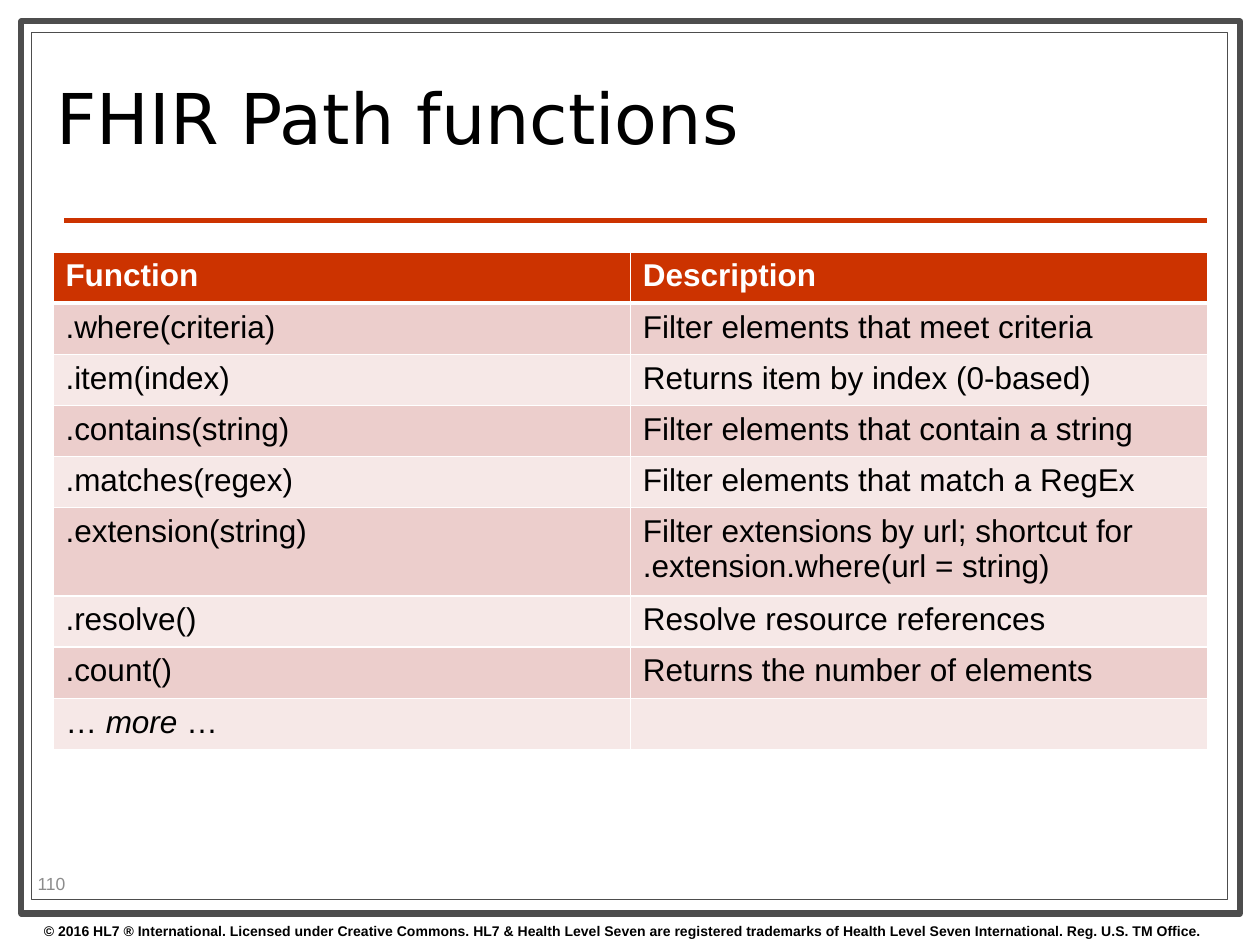
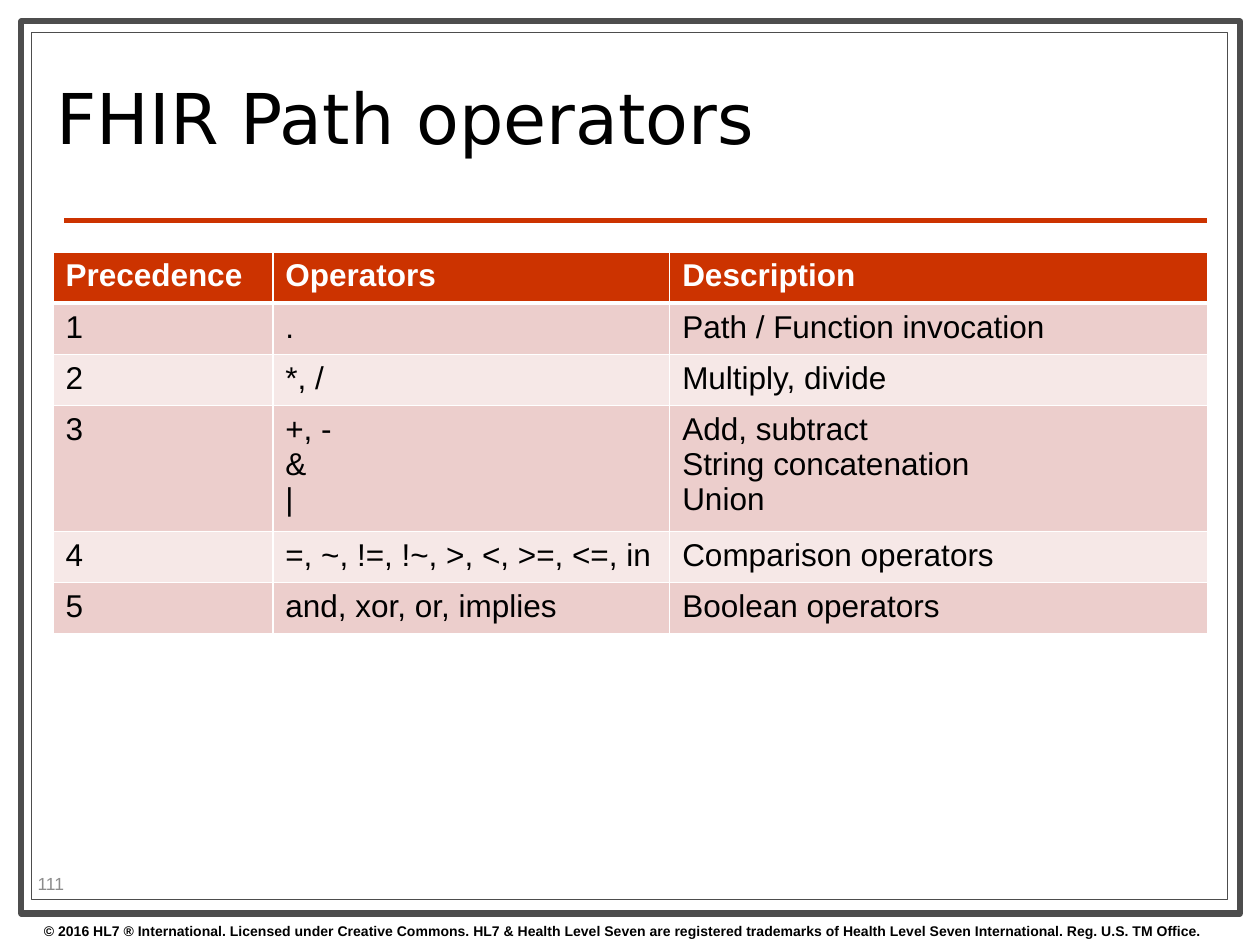
from dataclasses import dataclass

from lxml import etree
from pptx import Presentation
from pptx import util as u
from pptx.dml import color
from pptx.enum import shapes, text
from pptx.oxml import ns

SLIDE_WIDTH, SLIDE_HEIGHT = u.Inches(10), u.Inches(7.5)
COLUMN, ROW = SLIDE_WIDTH / 100, SLIDE_HEIGHT / 75

WHITE, BLACK, RED = "FFFFFF", "000000", "CC3300"
FRAME_GREY, NUMBER_GREY = "4D4D4D", "8C8C8C"
BANDS = ("ECCECC", "F6E8E7")
ROW_HEIGHT = 4.06
COPYRIGHT = (
    "© 2016 HL7 ® International. Licensed under Creative Commons. "
    "HL7 & Health Level Seven are registered trademarks of "
    "Health Level Seven International. Reg. U.S. TM Office."
)


@dataclass(frozen=True)
class Area:
    left: float
    top: float
    width: float
    height: float

    def emu(self) -> tuple[int, int, int, int]:
        return (
            round(self.left * COLUMN),
            round(self.top * ROW),
            round(self.width * COLUMN),
            round(self.height * ROW),
        )


@dataclass(frozen=True)
class Style:
    size: float
    ink: str = BLACK
    face: str = "Arial"
    bold: bool = False


@dataclass(frozen=True)
class Span:
    words: str
    italic: bool = False


@dataclass(frozen=True)
class Frame:
    area: Area
    weight: float


@dataclass(frozen=True)
class Reference:
    number: int
    title: str
    widths: tuple[float, ...]
    headings: tuple[str, ...]
    entries: tuple[tuple, ...]


TITLE_STYLE = Style(40, face="DejaVu Sans")
COPYRIGHT_STYLE = Style(8, bold=True)
NUMBER_STYLE = Style(10, NUMBER_GREY)
HEADING_STYLE = Style(18, WHITE, bold=True)
ENTRY_STYLE = Style(18)

TITLE_AREA = Area(3.5, 3.6, 71.7, 12.6)
COPYRIGHT_AREA = Area(2.5, 72.7, 100, 2.3)
NUMBER_AREA = Area(2, 68.9, 7.9, 2.4)
FRAMES = (
    Frame(Area(1.7, 1.7, 96.7, 70.8), 3.5),
    Frame(Area(2.5, 2.6, 94.9, 68.8), 0.75),
)
RULE = Area(5.1, 17.5, 90.7, 0)
TABLE_LEFT, TABLE_TOP = 4.2, 20

REFERENCES = (
    Reference(
        110,
        "FHIR Path functions",
        (45.83, 45.83),
        ("Function", "Description"),
        (
            (".where(criteria)", "Filter elements that meet criteria"),
            (".item(index)", "Returns item by index (0-based)"),
            (".contains(string)", "Filter elements that contain a string"),
            (".matches(regex)", "Filter elements that match a RegEx"),
            (
                ".extension(string)",
                "Filter extensions by url; shortcut for\n.extension.where(url = string)",
            ),
            (".resolve()", "Resolve resource references"),
            (".count()", "Returns the number of elements"),
            ((Span("… "), Span("more", italic=True), Span(" …")), ""),
        ),
    ),
    Reference(
        111,
        "FHIR Path operators",
        (17.45, 31.5, 42.7),
        ("Precedence", "Operators", "Description"),
        (
            ("1", ".", "Path / Function invocation"),
            ("2", "*, /", "Multiply, divide"),
            ("3", "+, -\n&\n|", "Add, subtract\nString concatenation\nUnion"),
            ("4", "=, ~, !=, !~, >, <, >=, <=, in", "Comparison operators"),
            ("5", "and, xor, or, implies", "Boolean operators"),
        ),
    ),
)


def rgb(code: str) -> color.RGBColor:
    return color.RGBColor.from_string(code)


def write(frame, content: str | tuple[Span, ...], style: Style) -> None:
    if isinstance(content, str):
        lines = [(Span(line),) for line in content.split("\n")]
    else:
        lines = [content]
    for index, spans in enumerate(lines):
        paragraph = frame.add_paragraph() if index else frame.paragraphs[0]
        paragraph.alignment = text.PP_ALIGN.LEFT
        for span in spans:
            if not span.words:
                continue
            run = paragraph.add_run()
            run.text = span.words
            run.font.size = u.Pt(style.size)
            run.font.name = style.face
            run.font.bold = style.bold
            run.font.italic = span.italic
            run.font.color.rgb = rgb(style.ink)


def add_label(slide, area: Area, words: str, style: Style, anchor):
    label = slide.shapes.add_textbox(*area.emu())
    label.text_frame.word_wrap = True
    label.text_frame.vertical_anchor = anchor
    write(label.text_frame, words, style)
    return label


def add_frame(slide, frame: Frame):
    border = slide.shapes.add_shape(shapes.MSO_SHAPE.RECTANGLE, *frame.area.emu())
    border.shadow.inherit = False
    border.fill.solid()
    border.fill.fore_color.rgb = rgb(WHITE)
    border.line.color.rgb = rgb(FRAME_GREY)
    border.line.width = u.Pt(frame.weight)
    return border


def add_rule(slide, area: Area):
    left, top, width, height = area.emu()
    rule = slide.shapes.add_connector(
        shapes.MSO_CONNECTOR.STRAIGHT, left, top, left + width, top + height
    )
    rule.line.color.rgb = rgb(RED)
    rule.line.width = u.Pt(3)
    etree.SubElement(rule._element.spPr, ns.qn("a:effectLst"))
    return rule


def furnish_layout(layout, slide) -> None:
    furniture = [add_frame(slide, frame) for frame in FRAMES]
    furniture.append(add_rule(slide, RULE))
    furniture.append(
        add_label(slide, COPYRIGHT_AREA, COPYRIGHT, COPYRIGHT_STYLE, text.MSO_ANCHOR.TOP)
    )
    for depth, part in enumerate(furniture):
        layout.shapes._spTree.insert(2 + depth, part._element)


def set_borders(cell, top: float, bottom: float) -> None:
    properties = cell._tc.get_or_add_tcPr()
    weights = {"lnL": 1, "lnR": 1, "lnT": top, "lnB": bottom}
    for index, (side, weight) in enumerate(weights.items()):
        line = etree.Element(ns.qn(f"a:{side}"), w=str(u.Pt(weight)))
        fill = etree.SubElement(line, ns.qn("a:solidFill"))
        etree.SubElement(fill, ns.qn("a:srgbClr"), val=WHITE)
        properties.insert(index, line)


def add_reference_table(slide, reference: Reference) -> None:
    rows = (reference.headings, *reference.entries)
    area = Area(TABLE_LEFT, TABLE_TOP, sum(reference.widths), ROW_HEIGHT * len(rows))
    grid = slide.shapes.add_table(len(rows), len(reference.widths), *area.emu()).table
    for column, width in zip(grid.columns, reference.widths):
        column.width = round(width * COLUMN)
    for index, entry in enumerate(rows):
        grid.rows[index].height = round(ROW_HEIGHT * ROW)
        heading = index == 0
        for position, content in enumerate(entry):
            cell = grid.cell(index, position)
            cell.fill.solid()
            cell.fill.fore_color.rgb = rgb(RED if heading else BANDS[(index - 1) % 2])
            set_borders(cell, top=3 if index == 1 else 1, bottom=3 if heading else 1)
            write(cell.text_frame, content, HEADING_STYLE if heading else ENTRY_STYLE)


def add_reference(slide, reference: Reference) -> None:
    title = slide.shapes.title
    title.left, title.top, title.width, title.height = TITLE_AREA.emu()
    title.text_frame.auto_size = text.MSO_AUTO_SIZE.NONE
    title.text_frame.vertical_anchor = text.MSO_ANCHOR.MIDDLE
    write(title.text_frame, reference.title, TITLE_STYLE)
    title.text_frame.paragraphs[0].line_spacing = 0.8
    add_label(
        slide, NUMBER_AREA, str(reference.number), NUMBER_STYLE, text.MSO_ANCHOR.MIDDLE
    )
    add_reference_table(slide, reference)


def main() -> None:
    deck = Presentation()
    deck.slide_width, deck.slide_height = SLIDE_WIDTH, SLIDE_HEIGHT
    layout = deck.slide_layouts[5]
    slides = [deck.slides.add_slide(layout) for _ in REFERENCES]
    furnish_layout(layout, slides[0])
    for slide, reference in zip(slides, REFERENCES):
        add_reference(slide, reference)
    deck.save("out.pptx")


if __name__ == "__main__":
    main()
